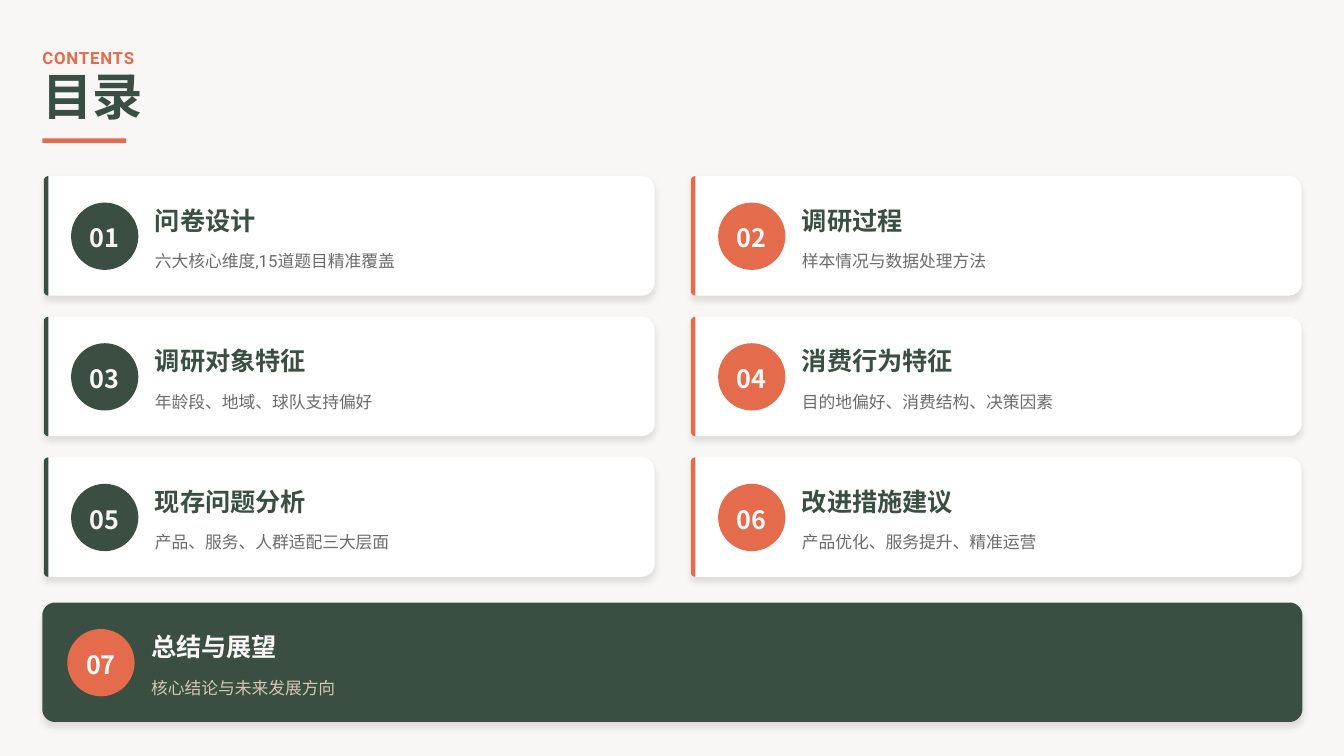
"""Build the contents slide with six section cards and a closing banner."""
import math

import pptx
import pptx.dml.color
import pptx.enum.shapes
import pptx.enum.text
import pptx.oxml
import pptx.oxml.ns
import pptx.util
from pptx.util import Inches

RGBColor = pptx.dml.color.RGBColor
BACKGROUND = RGBColor(0xF8, 0xF7, 0xF5)
GREEN = RGBColor(0x3A, 0x4F, 0x41)
CORAL = RGBColor(0xE5, 0x6B, 0x4D)
WHITE = RGBColor(0xFF, 0xFF, 0xFF)
GREY = RGBColor(0x2D, 0x2D, 0x2D)
SAND = RGBColor(0xD2, 0xC7, 0xB8)
CHINESE_FONT = "Noto Sans CJK SC"
LATIN_FONT = "Roboto"
NAMESPACE = pptx.oxml.ns.nsdecls("a")
SHADOW = (
    f'<a:outerShdw {NAMESPACE} blurRad="76200" dist="50800" dir="5400000" algn="ctr" rotWithShape="0">'
    '<a:srgbClr val="000000"><a:alpha val="10000"/></a:srgbClr></a:outerShdw>'
)
CARD_HEIGHT = 1.58
CORNER = 0.17
STRIP = 0.06
SECTIONS = [
    ("问卷设计", "六大核心维度,15道题目精准覆盖"),
    ("调研过程", "样本情况与数据处理方法"),
    ("调研对象特征", "年龄段、地域、球队支持偏好"),
    ("消费行为特征", "目的地偏好、消费结构、决策因素"),
    ("现存问题分析", "产品、服务、人群适配三大层面"),
    ("改进措施建议", "产品优化、服务提升、精准运营"),
    ("总结与展望", "核心结论与未来发展方向"),
]


def add_panel(left, top, width, left_radius, right_radius, color, shadow):
    right, bottom = left + width, top + CARD_HEIGHT
    corners = [
        (right - right_radius, top + right_radius, right_radius, -90),
        (right - right_radius, bottom - right_radius, right_radius, 0),
        (left + left_radius, bottom - left_radius, left_radius, 90),
        (left + left_radius, top + left_radius, left_radius, 180),
    ]
    points = []
    for center_x, center_y, radius, start in corners:
        for angle in range(start, start + 91, 10):
            radians = math.radians(angle)
            x = center_x + radius * math.cos(radians)
            y = center_y + radius * math.sin(radians)
            points.append((Inches(x), Inches(y)))
    builder = slide.shapes.build_freeform(*points[0])
    builder.add_line_segments(points[1:], close=True)
    panel = builder.convert_to_shape()
    panel.fill.solid()
    panel.fill.fore_color.rgb = color
    panel.line.fill.background()
    panel.shadow.inherit = False
    if shadow:
        effects = panel._element.spPr.find(pptx.oxml.ns.qn("a:effectLst"))
        effects.append(pptx.oxml.parse_xml(SHADOW))


def write_text(shape, text, size, color, font_name, bold, line_spacing, centered=False):
    frame = shape.text_frame
    frame.word_wrap = True
    frame.auto_size = pptx.enum.text.MSO_AUTO_SIZE.NONE
    frame.margin_left = frame.margin_right = frame.margin_top = frame.margin_bottom = 0
    frame.vertical_anchor = pptx.enum.text.MSO_ANCHOR.MIDDLE
    paragraph = frame.paragraphs[0]
    paragraph.text = text
    paragraph.line_spacing = line_spacing
    alignments = pptx.enum.text.PP_ALIGN
    paragraph.alignment = alignments.CENTER if centered else alignments.LEFT
    font = paragraph.font
    font.size = pptx.util.Pt(size)
    font.bold = bold
    font.color.rgb = color
    font.name = font_name
    properties = paragraph._p.pPr.find(pptx.oxml.ns.qn("a:defRPr"))
    properties.append(pptx.oxml.parse_xml(f'<a:ea {NAMESPACE} typeface="{CHINESE_FONT}"/>'))
    return properties


presentation = pptx.Presentation()
presentation.slide_width = Inches(17.78)
presentation.slide_height = Inches(10)
slide = presentation.slides.add_slide(presentation.slide_layouts[5])
slide.background.fill.solid()
slide.background.fill.fore_color.rgb = BACKGROUND

title = slide.shapes.title
title.left, title.top, title.width, title.height = Inches(0.56), Inches(1), Inches(17), Inches(0.67)
write_text(title, "目录", 48, GREEN, CHINESE_FONT, True, 0.8)

eyebrow = slide.shapes.add_textbox(Inches(0.56), Inches(0.56), Inches(16.78), Inches(0.33))
eyebrow_properties = write_text(eyebrow, "CONTENTS", 16, CORAL, LATIN_FONT, True, 1.3)
eyebrow_properties.set("spc", "80")

underline = slide.shapes.add_shape(
    pptx.enum.shapes.MSO_SHAPE.RECTANGLE, Inches(0.56), Inches(1.83), Inches(1.11), Inches(0.06)
)
underline.fill.solid()
underline.fill.fore_color.rgb = CORAL
underline.line.fill.background()
underline.shadow.inherit = False

for index, (heading, description) in enumerate(SECTIONS):
    row, column = divmod(index, 2)
    is_banner = index == len(SECTIONS) - 1
    accent = CORAL if column or is_banner else GREEN
    if is_banner:
        top, content_left, text_width = 7.97, 0.89, 15
        add_panel(0.56, top, 16.67, CORNER, CORNER, GREEN, True)
    else:
        left, top = 0.58 + 8.56 * column, 2.33 + 1.86 * row
        content_left, text_width = left + 0.36, 6.4
        add_panel(left, top, 8.08, STRIP, CORNER, WHITE, True)
        add_panel(left, top, STRIP, STRIP, 0, accent, False)

    badge = slide.shapes.add_shape(
        pptx.enum.shapes.MSO_SHAPE.OVAL,
        Inches(content_left), Inches(top + 0.35), Inches(0.89), Inches(0.89),
    )
    badge.fill.solid()
    badge.fill.fore_color.rgb = accent
    badge.line.fill.background()
    badge.shadow.inherit = False
    write_text(badge, f"{index + 1:02d}", 24, BACKGROUND, CHINESE_FONT, True, 1.1, True)

    text_left = Inches(content_left + 1.11)
    heading_box = slide.shapes.add_textbox(text_left, Inches(top + 0.34), Inches(text_width), Inches(0.44))
    heading_color = BACKGROUND if is_banner else GREEN
    write_text(heading_box, heading, 24, heading_color, CHINESE_FONT, True, 1.1)

    description_box = slide.shapes.add_textbox(text_left, Inches(top + 0.89), Inches(text_width), Inches(0.36))
    description_color = SAND if is_banner else GREY
    properties = write_text(description_box, description, 16, description_color, LATIN_FONT, False, 1.4)
    if not is_banner:
        color_element = properties.find(".//" + pptx.oxml.ns.qn("a:srgbClr"))
        color_element.append(pptx.oxml.parse_xml(f'<a:alpha {NAMESPACE} val="70000"/>'))

presentation.save("out.pptx")
